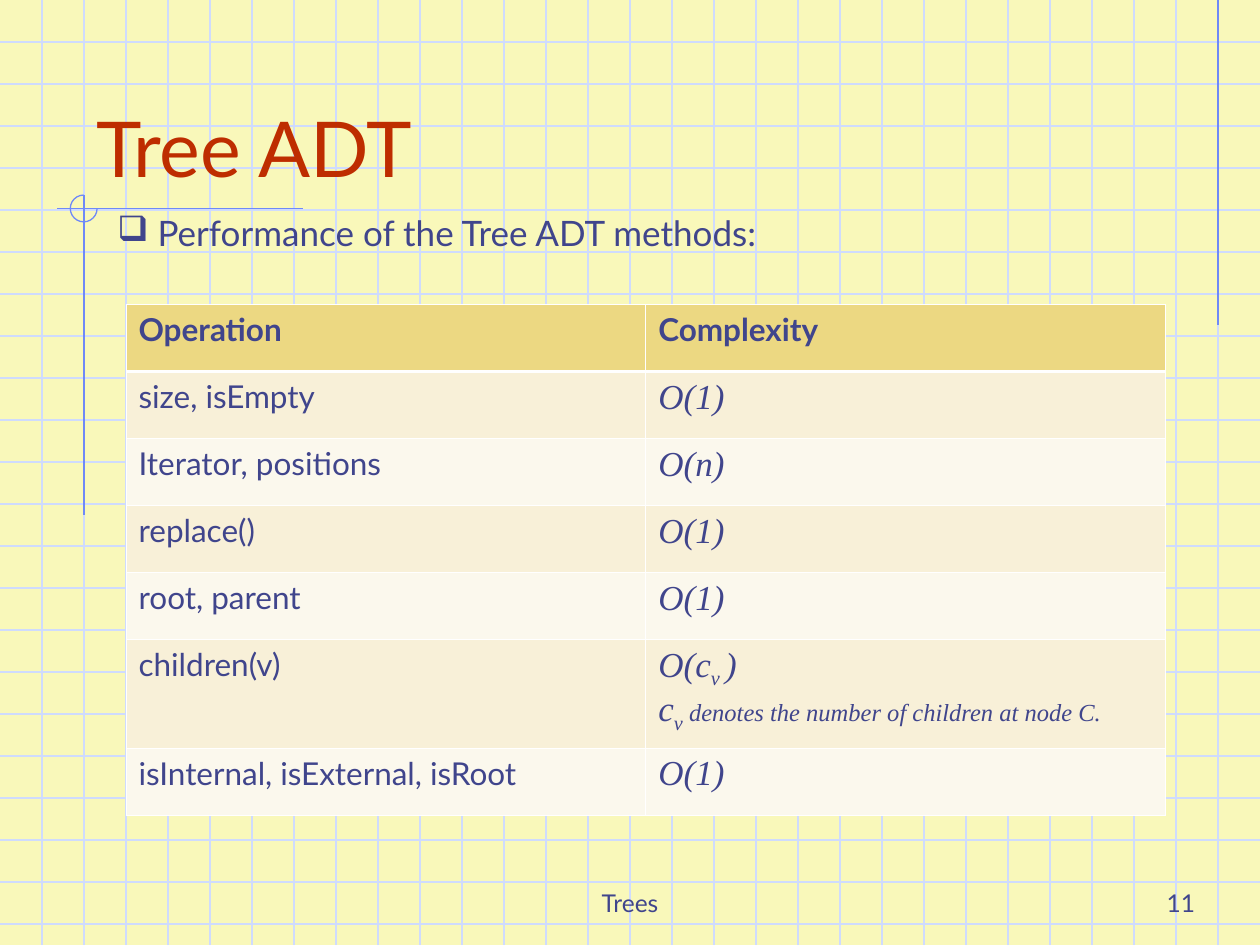
"""Build the Tree ADT performance slide."""
from typing import NamedTuple

from lxml import etree
from pptx import Presentation
from pptx import util as u
from pptx.dml.color import RGBColor
from pptx.enum import shapes, text
from pptx.oxml.ns import qn

Pt = u.Pt
INK = {"page": "F9F8BA", "grid": "CFDBFD", "rule": "6F89F7", "text": "40458C",
       "title": "BE2D00", "head": "ECD882", "odd": "F8F0D8", "even": "FBF8ED",
       "edge": "FFFFFF"}
LEFT, MID, RIGHT = text.PP_ALIGN.LEFT, text.PP_ALIGN.CENTER, text.PP_ALIGN.RIGHT
TOP, LOW = text.MSO_ANCHOR.TOP, text.MSO_ANCHOR.BOTTOM
WIDE, HIGH, STEP = 720, 540, 24


class Style(NamedTuple):
    size: float
    face: str = "Lato"
    ink: str = "text"
    bold: bool = False
    slant: bool = False


class Line(NamedTuple):
    x1: float
    y1: float
    x2: float
    y2: float
    ink: str = "grid"


class Box(NamedTuple):
    words: str
    left: float
    top: float
    width: float
    height: float
    style: Style
    align: text.PP_ALIGN = LEFT
    anchor: text.MSO_ANCHOR = LOW
    mark: str = ""


class Bit(NamedTuple):
    words: str
    sub: bool = False
    size: float = 0


class Row(NamedTuple):
    task: str
    cost: list
    height: float = 38.3


BODY, HEAD = Style(18), Style(18, bold=True)
MATH = Style(20, "Times New Roman", slant=True)
CONST = [[Bit("O(1)")]]
CHILD = [[Bit("O(c"), Bit("v ", True), Bit(")")],
         [Bit("c"), Bit("v", True),
          Bit(" denotes the number of children at node C.", size=14)]]

ROWS = [
    Row("Operation", [[Bit("Complexity")]]),
    Row("size, isEmpty", CONST),
    Row("Iterator, positions", [[Bit("O(n)")]]),
    Row("replace()", CONST),
    Row("root, parent", CONST),
    Row("children(v)", CHILD, 62),
    Row("isInternal, isExternal, isRoot", CONST),
]
LINES = [Line(0, y, WIDE, y) for y in range(STEP, HIGH, STEP)]
LINES += [Line(x, 0, x, HIGH) for x in range(STEP, WIDE, STEP)]
LINES += [Line(696, 0, 696, 186, "rule"), Line(173, 119.2, 32.5, 119.2, "rule"),
          Line(48, 111.5, 48, 294.5, "rule")]
BOXES = [
    Box("Trees", 246, 492, 228, 36, Style(14), MID),
    Box("11", 540, 492, 150, 36, Style(14), RIGHT),
    Box("Tree ADT", 48, 24, 612, 90, Style(44, ink="title")),
    Box("Performance of the Tree ADT methods:", 60, 120, 612, 42, Style(20),
        anchor=TOP, mark="❑"),
]


def tint(name: str) -> RGBColor:
    """Return a palette colour."""
    return RGBColor.from_string(INK[name])


def dress(para, style: Style) -> None:
    """Apply a style to a paragraph."""
    font = para.font
    font.size, font.name = Pt(style.size), style.face
    font.bold, font.italic = style.bold, style.slant
    font.color.rgb = tint(style.ink)


def rule(slide, line: Line) -> None:
    """Draw a thin straight line."""
    ends = [Pt(v) for v in line[:4]]
    item = slide.shapes.add_connector(shapes.MSO_CONNECTOR.STRAIGHT, *ends)
    item.line.color.rgb, item.line.width = tint(line.ink), Pt(0.75)
    etree.SubElement(item._element.spPr, qn("a:effectLst"))


def ring(slide) -> None:
    """Draw the three-quarter circle at the crossing of the rules."""
    item = slide.shapes.add_shape(shapes.MSO_SHAPE.ARC, Pt(40.2), Pt(111.5),
                                  Pt(15.3), Pt(15.3))
    item.adjustments[0], item.adjustments[1] = 0, 162
    item.shadow.inherit = False
    item.fill.background()
    item.line.color.rgb, item.line.width = tint("rule"), Pt(0.75)


def write(slide, box: Box) -> None:
    """Place a box with one paragraph."""
    area = [Pt(v) for v in box[1:5]]
    frame = slide.shapes.add_textbox(*area).text_frame
    frame.word_wrap, frame.vertical_anchor = True, box.anchor
    para = frame.paragraphs[0]
    para.text, para.alignment = box.words, box.align
    if box.mark:
        para.line_spacing = 0.9
        props = para._p.get_or_add_pPr()
        props.set("marL", str(Pt(23)))
        props.set("indent", str(-Pt(23)))
        etree.SubElement(props, qn("a:buChar"), char=box.mark)
    dress(para, box.style)


def edge(cell, first: bool, second: bool) -> None:
    """Add white borders, heavier below the header row."""
    props = cell._tc.get_or_add_tcPr()
    widths = {"L": 0.45, "R": 0.45, "T": 1.47 if second else 0.45,
              "B": 1.47 if first else 0.45}
    for spot, (side, width) in enumerate(widths.items()):
        line = etree.Element(qn("a:ln" + side), w=str(Pt(width)))
        fill = etree.SubElement(line, qn("a:solidFill"))
        etree.SubElement(fill, qn("a:srgbClr"), val=INK["edge"])
        props.insert(spot, line)


def fill_in(cell, paras: list, style: Style) -> None:
    """Write paragraphs of bits into a cell."""
    frame = cell.text_frame
    for n, bits in enumerate(paras):
        para = frame.add_paragraph() if n else frame.paragraphs[0]
        dress(para, style)
        for bit in bits:
            run = para.add_run()
            run.text = bit.words
            if bit.size:
                run.font.size = Pt(bit.size)
            if bit.sub:
                run._r.get_or_add_rPr().set("baseline", "-25000")


def grid(slide) -> None:
    """Build the table of operations and costs."""
    high = sum(row.height for row in ROWS)
    table = slide.shapes.add_table(len(ROWS), 2, Pt(72), Pt(174), Pt(594),
                                   Pt(high)).table
    table.first_row = table.horz_banding = False
    for col in table.columns:
        col.width = Pt(297)
    for r, row in enumerate(ROWS):
        table.rows[r].height = Pt(row.height)
        shade = ("odd" if r % 2 else "even") if r else "head"
        sides = [([[Bit(row.task)]], BODY if r else HEAD),
                 (row.cost, MATH if r else HEAD)]
        for c, (paras, style) in enumerate(sides):
            cell = table.cell(r, c)
            cell.fill.solid()
            cell.fill.fore_color.rgb = tint(shade)
            edge(cell, r == 0, r == 1)
            fill_in(cell, paras, style)


def main() -> None:
    """Build and save the slide."""
    deck = Presentation()
    deck.slide_width, deck.slide_height = Pt(WIDE), Pt(HIGH)
    slide = deck.slides.add_slide(deck.slide_layouts[6])
    back = slide.background.fill
    back.solid()
    back.fore_color.rgb = tint("page")
    for line in LINES:
        rule(slide, line)
    ring(slide)
    for box in BOXES:
        write(slide, box)
    grid(slide)
    deck.save("out.pptx")


if __name__ == "__main__":
    main()
